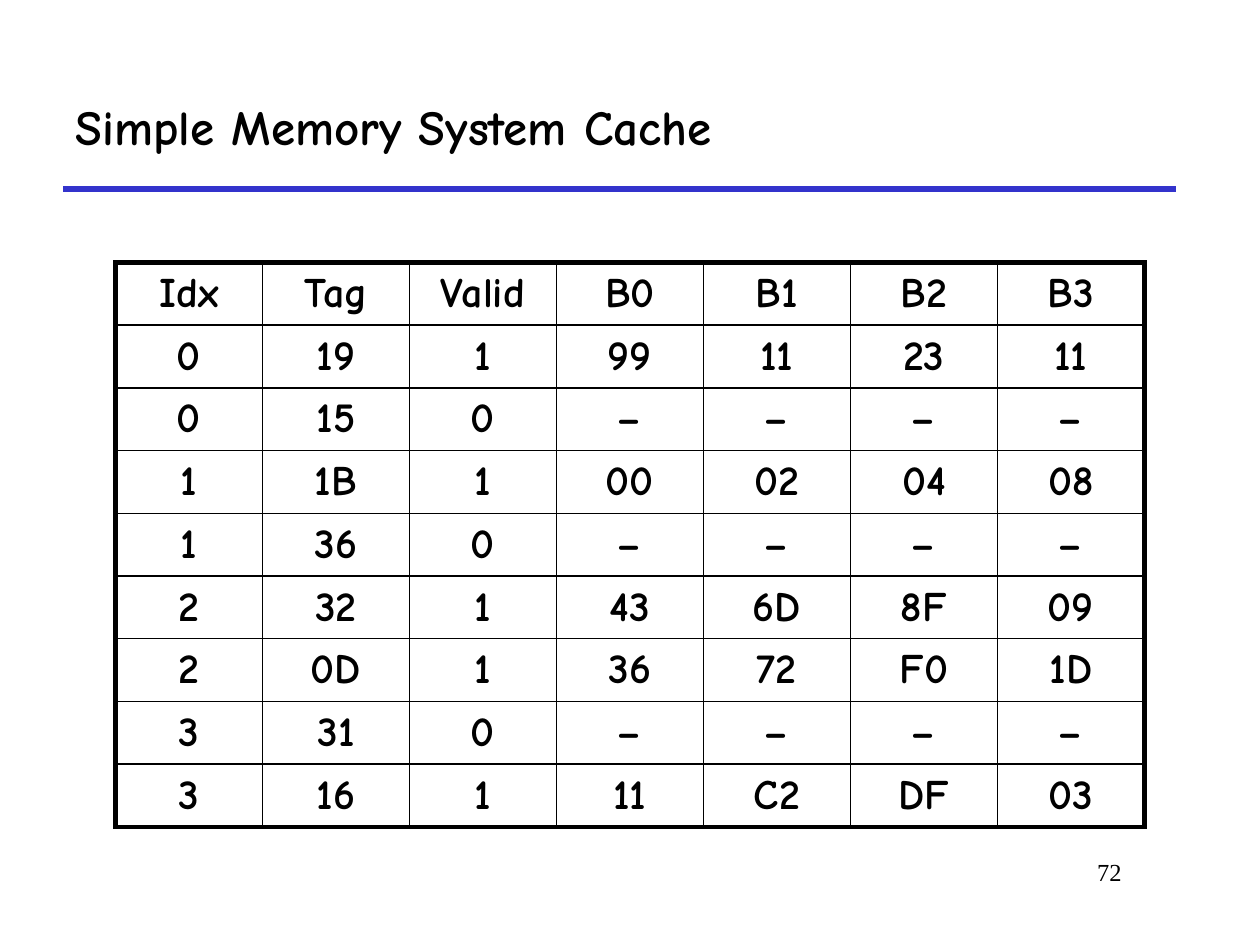
from lxml import etree
from pptx import Presentation
from pptx import util as u
from pptx.dml.color import RGBColor
from pptx.enum import shapes, text
from pptx.oxml.ns import qn

BLACK, BLUE = "000000", "3333CC"
HEADING = dict(name="Comic Neue", size=u.Pt(28), bold=True)
CELL = dict(name="Comic Neue", size=u.Pt(24), bold=True)
NUMBER = dict(name="Times New Roman", size=u.Pt(14), bold=False)
THIN, THICK = 1, 3

CACHE = [row.split() for row in (
    "Idx Tag Valid B0 B1 B2 B3",
    "0 19 1 99 11 23 11",
    "0 15 0 – – – –",
    "1 1B 1 00 02 04 08",
    "1 36 0 – – – –",
    "2 32 1 43 6D 8F 09",
    "2 0D 1 36 72 F0 1D",
    "3 31 0 – – – –",
    "3 16 1 11 C2 DF 03",
)]


def color(value):
    return RGBColor.from_string(value)


def write(tf, words, fmt, align):
    p = tf.paragraphs[0]
    p.alignment = align
    r = p.add_run()
    r.text = words
    for key, value in fmt.items():
        setattr(r.font, key, value)
    r.font.color.rgb = color(BLACK)


def add_title(s, words):
    sp = s.shapes.title
    sp.left, sp.top, sp.width, sp.height = u.Pt(36), u.Pt(36), u.Pt(636), u.Pt(72)
    tf = sp.text_frame
    tf.vertical_anchor = text.MSO_ANCHOR.MIDDLE
    write(tf, words, HEADING, text.PP_ALIGN.LEFT)


def add_rule(s, x1, x2, y):
    line = s.shapes.add_connector(
        shapes.MSO_CONNECTOR.STRAIGHT, u.Pt(x1), u.Pt(y), u.Pt(x2), u.Pt(y))
    line.line.color.rgb = color(BLUE)
    line.line.width = u.Pt(3)
    etree.SubElement(line._element.spPr, qn("a:effectLst"))


def add_page_number(s, words):
    sp = s.shapes.add_textbox(u.Pt(546), u.Pt(486), u.Pt(102), u.Pt(36))
    sp.text_frame.word_wrap = True
    write(sp.text_frame, words, NUMBER, text.PP_ALIGN.RIGHT)


def set_border(cell, side, width):
    ln = etree.SubElement(cell._tc.get_or_add_tcPr(), qn(f"a:ln{side}"), w=str(u.Pt(width)))
    fill = etree.SubElement(ln, qn("a:solidFill"))
    etree.SubElement(fill, qn("a:srgbClr"), val=BLACK)


def add_cache_table(s, rows):
    n_rows, n_cols = len(rows), len(rows[0])
    table = s.shapes.add_table(
        n_rows, n_cols, u.Pt(66), u.Pt(150), u.Pt(588), u.Pt(322.5)).table
    for i, row in enumerate(rows):
        for j, words in enumerate(row):
            cell = table.cell(i, j)
            # The outer frame is thick, the inner grid thin
            outer = dict(L=j == 0, R=j == n_cols - 1, T=i == 0, B=i == n_rows - 1)
            for side, is_outer in outer.items():
                set_border(cell, side, THICK if is_outer else THIN)
            cell.fill.background()
            cell.vertical_anchor = text.MSO_ANCHOR.MIDDLE
            write(cell.text_frame, words, CELL, text.PP_ALIGN.CENTER)


def main():
    prs = Presentation()
    prs.slide_width, prs.slide_height = u.Pt(720), u.Pt(540)
    s = prs.slides.add_slide(prs.slide_layouts[5])

    # Heading with its rule
    add_rule(s, 36, 672, 108)
    add_title(s, "Simple Memory System Cache")

    # Cache contents
    add_cache_table(s, CACHE)

    # Footer
    add_page_number(s, "72")
    prs.save("out.pptx")


if __name__ == "__main__":
    main()
